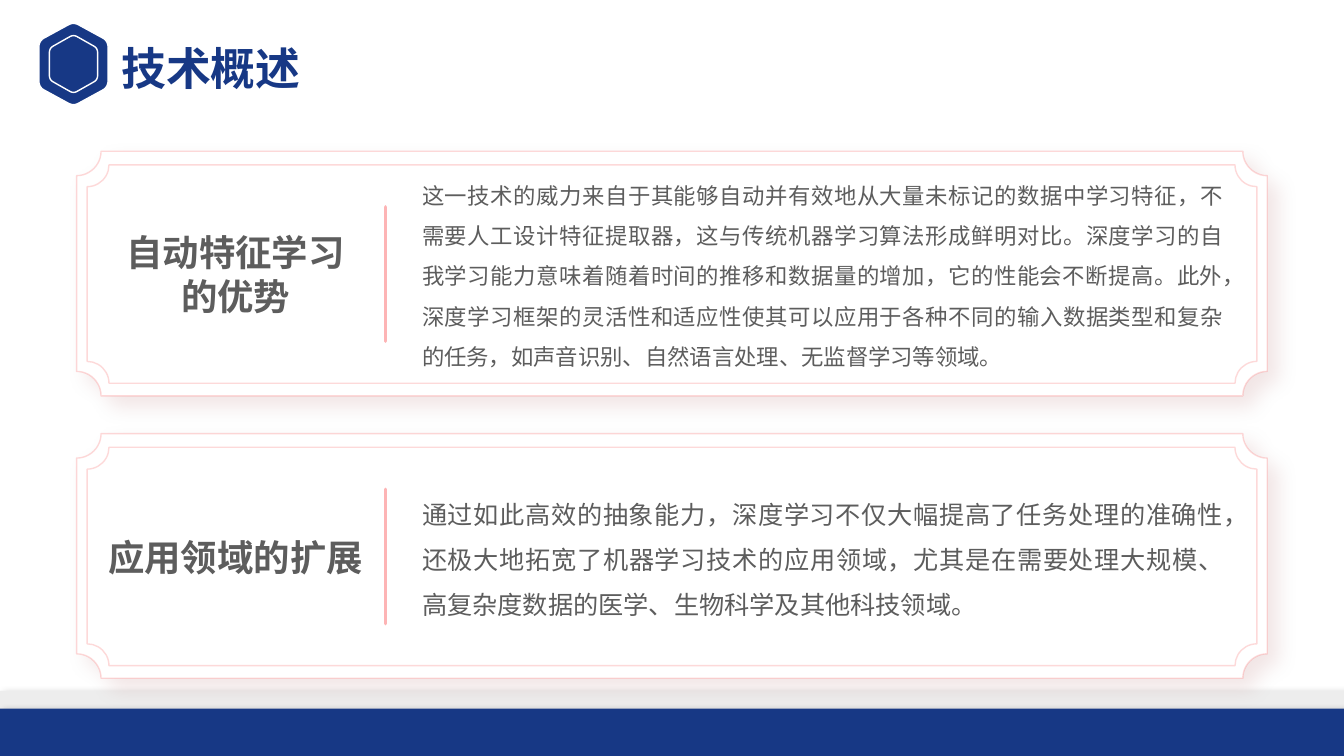
from dataclasses import dataclass

from lxml.etree import SubElement
from pptx import Presentation
from pptx.dml.color import RGBColor
from pptx.enum.shapes import MSO_CONNECTOR as Connector, MSO_SHAPE as Shape
from pptx.enum.text import MSO_ANCHOR as Anchor, PP_ALIGN as Align
from pptx.oxml.ns import qn
from pptx.util import Pt

PX = 9525
BLUE, WHITE, GREY, INK = "173885", "FFFFFF", "EDEDED", "5D5D5D"
CORAL, PINK = "FB6A6B", "FDB4B5"
TITLE_FONT, BODY_FONT = "Noto Sans CJK SC", "Noto Sans CJK JP"


@dataclass
class Box:
    left: int
    top: int
    width: int
    height: int

    def emu(self) -> tuple[int, ...]:
        return tuple(v * PX for v in (self.left, self.top, self.width, self.height))


@dataclass
class Shadow:
    color: str
    opacity: int
    blur: int
    distance: int
    angle: int


@dataclass
class TextStyle:
    font: str
    size: int
    color: str
    bold: bool = False
    align: Align = Align.LEFT
    spacing: float = 1.0


@dataclass
class Panel:
    top: int
    label: str
    body: str
    body_size: int


STRIP_SHADOW = Shadow("000000", 20, 4, 2, 0)
PANEL_SHADOW = Shadow("7D0304", 10, 15, 10, 45)
PANELS = [
    Panel(144, "自动特征学习\n的优势",
          "这一技术的威力来自于其能够自动并有效地从大量未标记的数据中学习特征，不需要人工设计特征提取器，"
          "这与传统机器学习算法形成鲜明对比。深度学习的自我学习能力意味着随着时间的推移和数据量的增加，"
          "它的性能会不断提高。此外，深度学习框架的灵活性和适应性使其可以应用于各种不同的输入数据类型和复杂的任务，"
          "如声音识别、自然语言处理、无监督学习等领域。", 16),
    Panel(413, "应用领域的扩展",
          "通过如此高效的抽象能力，深度学习不仅大幅提高了任务处理的准确性，还极大地拓宽了机器学习技术的应用领域，"
          "尤其是在需要处理大规模、高复杂度数据的医学、生物科学及其他科技领域。", 18),
]


def rgb(color: str) -> RGBColor:
    return RGBColor.from_string(color)


def set_opacity(color_element, percent: int) -> None:
    SubElement(color_element, qn("a:alpha")).set("val", str(percent * 1000))


def add_shadow(shape, shadow: Shadow) -> None:
    effects = shape._element.spPr.find(qn("a:effectLst"))
    outer = SubElement(effects, qn("a:outerShdw"), blurRad=str(Pt(shadow.blur)),
                       dist=str(Pt(shadow.distance)), dir=str(shadow.angle * 60000),
                       algn="tl", rotWithShape="0")
    color = SubElement(outer, qn("a:srgbClr"), val=shadow.color)
    set_opacity(color, shadow.opacity)


def paint(shape, fill: str, line: str | None = None, line_opacity: int = 100) -> None:
    shape.shadow.inherit = False
    shape.fill.solid()
    shape.fill.fore_color.rgb = rgb(fill)
    if line is None:
        shape.line.fill.background()
        return
    shape.line.color.rgb = rgb(line)
    shape.line.width = Pt(1)
    if line_opacity < 100:
        set_opacity(shape.line._ln.find(".//" + qn("a:srgbClr")), line_opacity)


def add_strip(slide, box: Box, fill: str) -> None:
    shape = slide.shapes.add_shape(Shape.RECTANGLE, *box.emu())
    paint(shape, fill)
    add_shadow(shape, STRIP_SHADOW)


def add_plaque(slide, box: Box, line: str, opacity: int, shadow: Shadow | None = None) -> None:
    shape = slide.shapes.add_shape(Shape.PLAQUE, *box.emu())
    shape.adjustments[0] = 0.1
    paint(shape, WHITE, line, opacity)
    if shadow:
        add_shadow(shape, shadow)


def add_hexagon(slide, center: tuple[int, int], half_width: int, peak: int, shoulder: int) -> None:
    corners = [(0, -peak), (half_width, -shoulder), (half_width, shoulder),
               (0, peak), (-half_width, shoulder), (-half_width, -shoulder)]
    points = []
    for index, corner in enumerate(corners):
        before, after = corners[index - 1], corners[(index + 1) % 6]
        start, end = ([c + (n - c) * 0.15 for c, n in zip(corner, near)]
                      for near in (before, after))
        for step in range(7):
            t = step / 6
            points.append(tuple(
                round((o + (1 - t) ** 2 * s + 2 * t * (1 - t) * c + t * t * e) * PX)
                for o, s, c, e in zip(center, start, corner, end)))
    builder = slide.shapes.build_freeform(*points[0])
    builder.add_line_segments(points[1:], close=True)
    paint(builder.convert_to_shape(), BLUE, WHITE)


def add_text(slide, box: Box, text: str, style: TextStyle, anchor: Anchor = Anchor.TOP,
             insets: tuple[int, int, int, int] | None = None) -> None:
    text_frame = slide.shapes.add_textbox(*box.emu()).text_frame
    text_frame.word_wrap = True
    text_frame.vertical_anchor = anchor
    if insets:
        (text_frame.margin_left, text_frame.margin_top,
         text_frame.margin_right, text_frame.margin_bottom) = (v * PX for v in insets)
    text_frame.text = text
    for paragraph in text_frame.paragraphs:
        paragraph.alignment = style.align
        paragraph.line_spacing = style.spacing
        for run in paragraph.runs:
            run.font.name = style.font
            run.font.size = Pt(style.size)
            run.font.bold = style.bold
            run.font.color.rgb = rgb(style.color)
            for tag in ("a:ea", "a:cs"):
                SubElement(run.font._element, qn(tag)).set("typeface", style.font)


def add_divider(slide, x: int, top: int, bottom: int) -> None:
    divider = slide.shapes.add_connector(Connector.STRAIGHT, x * PX, top * PX, x * PX, bottom * PX)
    divider.line.color.rgb = rgb(PINK)
    divider.line.width = Pt(2.5)
    divider.line._ln.set("cap", "rnd")
    SubElement(divider._element.spPr, qn("a:effectLst"))


def add_panel(slide, panel: Panel) -> None:
    top = panel.top
    add_plaque(slide, Box(73, top, 1134, 233), CORAL, 25, PANEL_SHADOW)
    add_plaque(slide, Box(83, top + 13, 1114, 208), PINK, 50)
    add_divider(slide, 367, top + 53, top + 181)
    add_text(slide, Box(402, top + 35, 764, 163), panel.body,
             TextStyle(BODY_FONT, panel.body_size, INK, align=Align.JUSTIFY, spacing=1.5),
             Anchor.MIDDLE, (0, 0, 0, 8))
    add_text(slide, Box(99, top + 45, 251, 144), panel.label,
             TextStyle(BODY_FONT, 26, INK, bold=True, align=Align.CENTER),
             Anchor.MIDDLE, (0, 0, 0, 0))


def main() -> None:
    presentation = Presentation()
    presentation.slide_width, presentation.slide_height = 1280 * PX, 720 * PX
    slide = presentation.slides.add_slide(presentation.slide_layouts[6])
    add_strip(slide, Box(0, 658, 1282, 62), GREY)
    add_hexagon(slide, (70, 61), 33, 40, 22)
    add_hexagon(slide, (70, 61), 23, 28, 15)
    add_strip(slide, Box(0, 675, 1280, 45), BLUE)
    add_text(slide, Box(106, 34, 403, 54), "技术概述", TextStyle(TITLE_FONT, 32, BLUE, bold=True))
    for panel in PANELS:
        add_panel(slide, panel)
    presentation.save("out.pptx")


if __name__ == "__main__":
    main()
